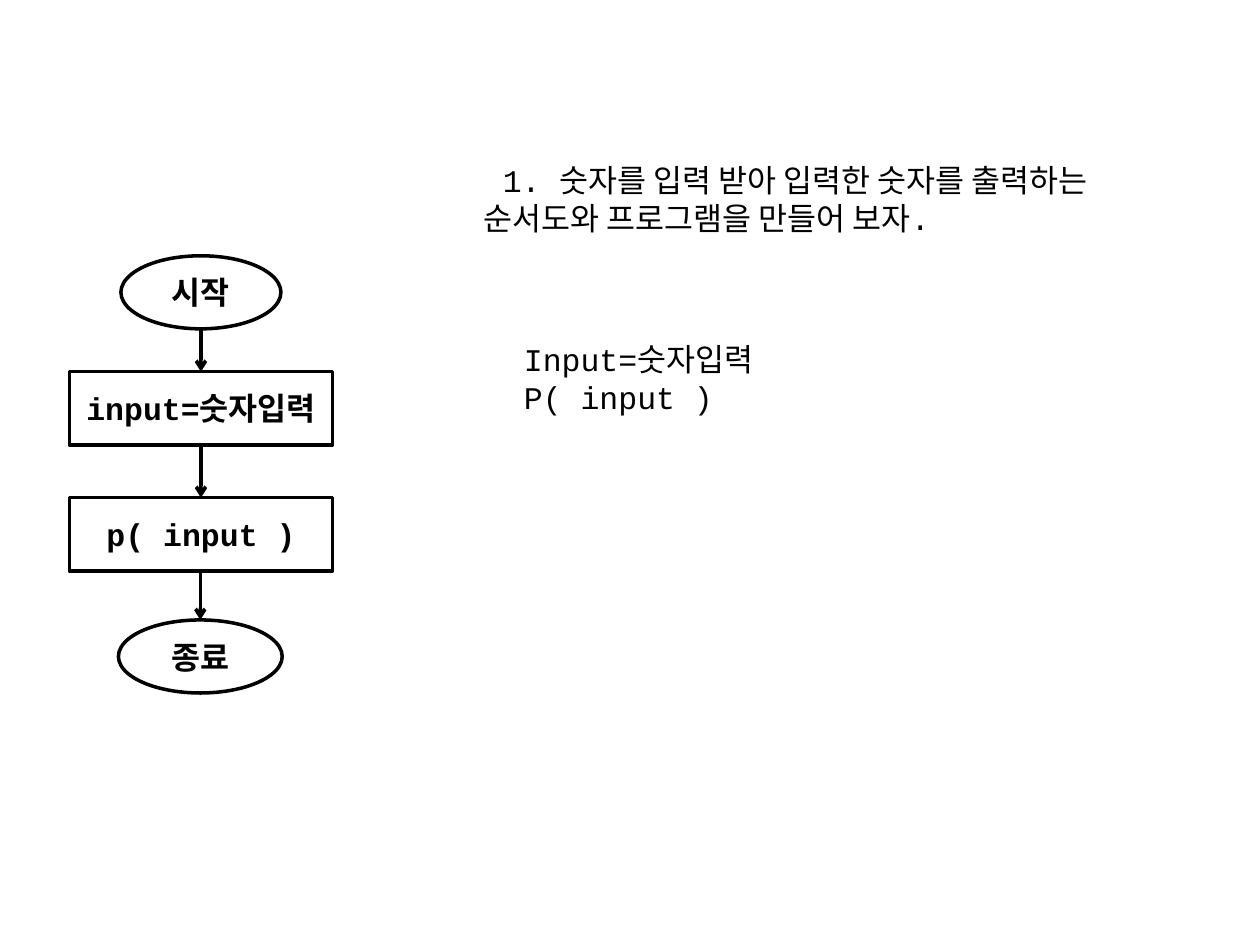
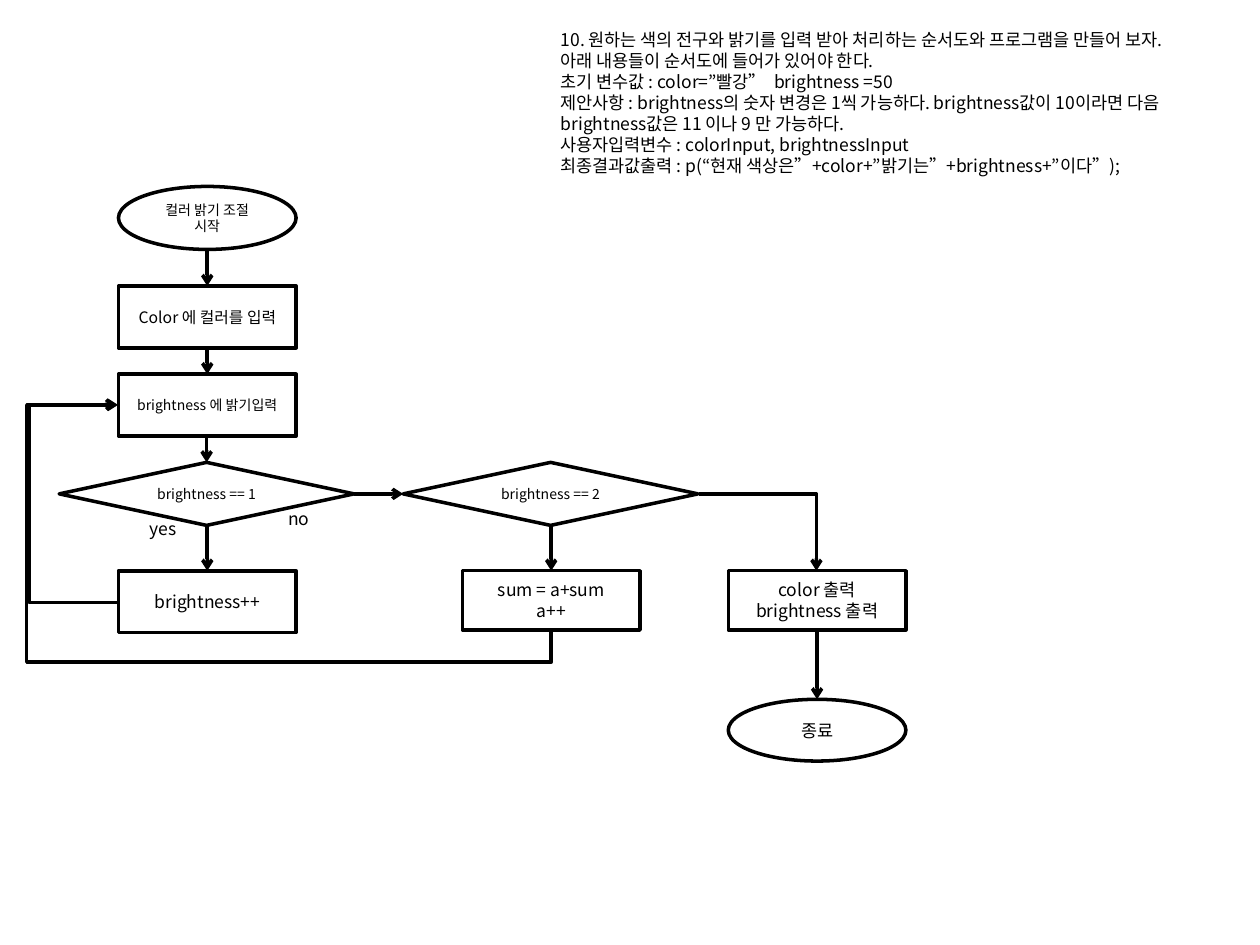
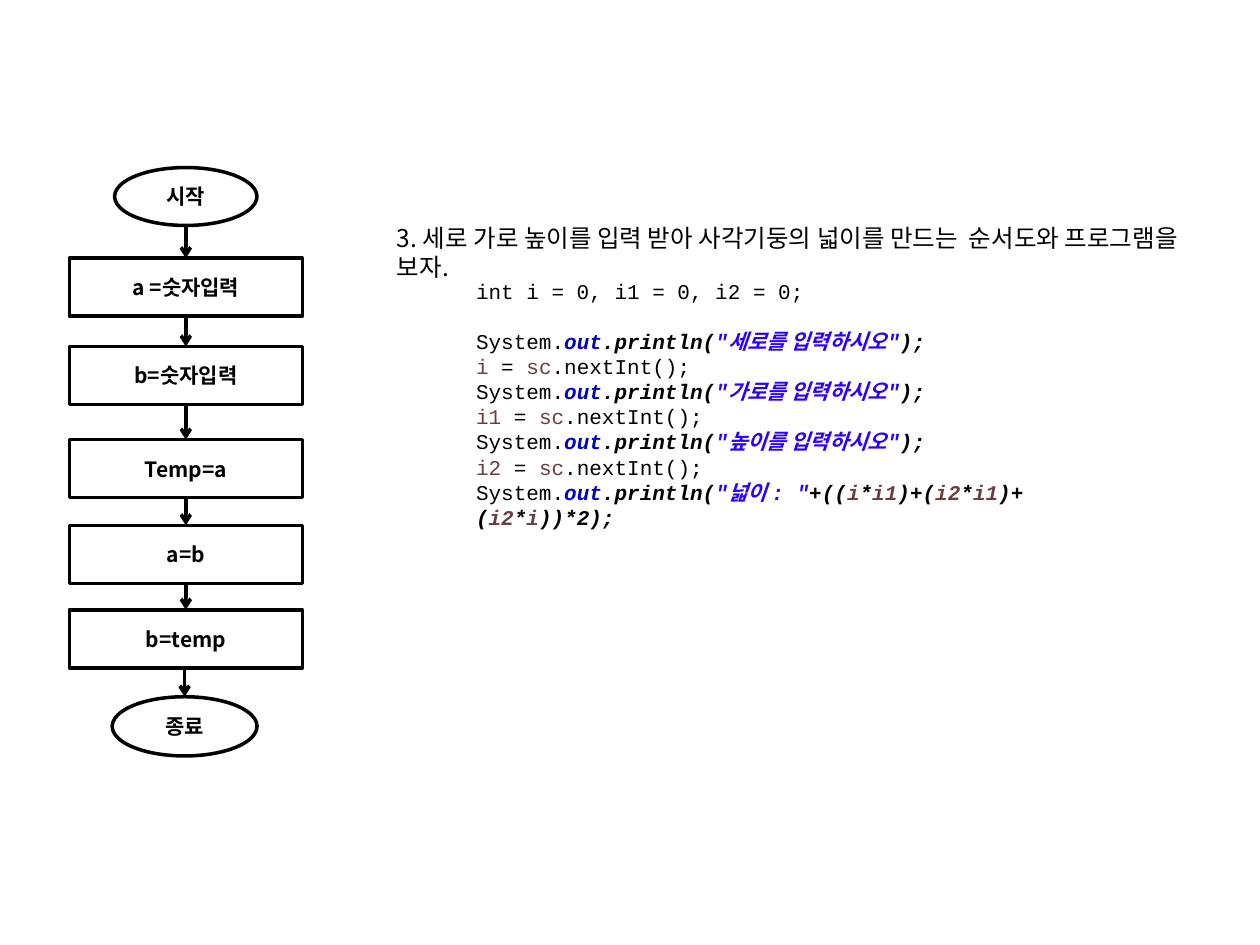
from dataclasses import dataclass
from lxml import etree
from pptx import Presentation
from pptx import util as u
from pptx.dml.color import RGBColor
from pptx.enum import shapes as es, text as et
from pptx.oxml.ns import qn


@dataclass(frozen=True)
class Theme:
    ink: str = "000000"
    field: str = "0000C0"
    quote: str = "2A00FF"
    name: str = "6A3E3E"
    mono: str = "Courier New"
    sans: str = "Noto Sans CJK KR"
    line: float = 2
    big: int = 18
    mid: int = 14
    code: int = 12
    note: int = 10
    small: int = 9
    tiny: int = 8


T = Theme()
OVAL = es.MSO_SHAPE.OVAL
STEP = es.MSO_SHAPE.FLOWCHART_PROCESS
TEST = es.MSO_SHAPE.FLOWCHART_DECISION

ECHO_TASK = ["\u00a01. 숫자를 입력 받아 입력한 숫자를 출력하는 순서도와 프로그램을 만들어 보자.".replace("\u00a0", " ")]
ECHO_CODE = ["Input=숫자입력", "P( input )"]
ECHO_FLOW = {
    "start": (OVAL, 0.96, 2.03, 1.27, 0.58, "시작"),
    "input": (STEP, 0.55, 2.95, 2.09, 0.58, "input=숫자입력"),
    "print": (STEP, 0.55, 3.95, 2.09, 0.58, "p( input )"),
    "end": (OVAL, 0.94, 4.92, 1.3, 0.58, "종료"),
}

LAMP_TASK = [
    "10. 원하는 색의 전구와 밝기를 입력 받아 처리하는 순서도와 프로그램을 만들어 보자. 아래 내용들이 순서도에 들어가 있어야 한다.",
    "초기 변수값 : color=”빨강”  brightness =50",
    "제안사항 : brightness의 숫자 변경은 1씩 가능하다. brightness값이 10이라면 다음 brightness값은 11 이나 9 만 가능하다.",
    "사용자입력변수 : colorInput, brightnessInput",
    "최종결과값출력 : p(“현재 색상은”+color+”밝기는”+brightness+”이다”);",
]
LAMP_FLOW = {
    "start": (OVAL, 0.94, 1.48, 1.41, 0.5, "컬러 밝기 조절 시작", T.tiny),
    "color": (STEP, 0.94, 2.27, 1.41, 0.49, "Color 에 컬러를 입력", T.small),
    "level": (STEP, 0.94, 2.97, 1.41, 0.49, "brightness 에 밝기입력", T.tiny),
    "one": (TEST, 0.47, 3.67, 2.34, 0.5, "brightness == 1", T.tiny),
    "two": (TEST, 3.2, 3.67, 2.34, 0.5, "brightness == 2", T.tiny),
    "raise": (STEP, 0.94, 4.53, 1.41, 0.49, "brightness++"),
    "sum": (STEP, 3.67, 4.53, 1.41, 0.47, "sum = a+sum\na++"),
    "show": (STEP, 5.78, 4.53, 1.41, 0.47, "color 출력\nbrightness 출력"),
    "end": (OVAL, 5.78, 5.55, 1.41, 0.49, "종료"),
}
LAMP_LINKS = [("start", "color"), ("color", "level"), ("level", "one"),
              ("one", "raise"), ("two", "sum"), ("show", "end")]
LAMP_TAGS = [("no", 2.19, 3.98), ("yes", 1.09, 4.06)]
TOP, LEFT, DOWN, RIGHT = range(4)
LAMP_BENDS = [
    ("two", RIGHT, "show", TOP, "bentConnector2", (5.55, 3.92, 0.93, 0.61), 0, False, []),
    ("raise", LEFT, "level", LEFT, "bentConnector3", (0.93, 3.21, 0.01, 1.57), 180, False, [72]),
    ("sum", DOWN, "level", LEFT, "bentConnector4", (1.76, 2.39, 1.79, 3.44), 90, True, [-0.14, 1.21]),
]

AREA_TASK = ["3. 세로 가로 높이를 입력 받아 사각기둥의 넓이를 만드는  순서도와 프로그램을 보자."]
AREA_FLOW = {
    "start": (OVAL, 0.91, 1.33, 1.13, 0.46, "시작"),
    "a": (STEP, 0.55, 2.05, 1.85, 0.46, "a =숫자입력"),
    "b": (STEP, 0.55, 2.75, 1.85, 0.46, "b=숫자입력"),
    "temp": (STEP, 0.55, 3.49, 1.85, 0.46, "Temp=a"),
    "swap": (STEP, 0.55, 4.17, 1.85, 0.46, "a=b"),
    "back": (STEP, 0.55, 4.84, 1.85, 0.46, "b=temp"),
    "end": (OVAL, 0.89, 5.53, 1.15, 0.47, "종료"),
}
AREA_ASKS = [("세로", "i"), ("가로", "i1"), ("높이", "i2")]
AREA_SUM = ["+((", "i", "*", "i1", ")+(", "i2", "*", "i1", ")+(", "i2", "*", "i", "))*2);"]


def say(quote, tail):
    head = [("System.", T.ink, False), ("out", T.field, True),
            (".println(", T.ink, True), (f'"{quote}"', T.quote, True)]
    return head + [(t, T.name if t[0] == "i" else T.ink, True) for t in tail]


def area_code():
    rows = ["int i = 0, i1 = 0, i2 = 0;"]
    for what, var in AREA_ASKS:
        rows.append(say(f"{what}를 입력하시오", [");"]))
        rows.append([(var, T.name, False), (" = ", T.ink, False),
                     ("sc", T.name, False), (".nextInt();", T.ink, False)])
    return rows + [say("넓이 : ", AREA_SUM)]


def write(shape, rows, size=T.note, font=T.sans, bold=False,
          align=et.PP_ALIGN.LEFT, anchor=et.MSO_ANCHOR.TOP):
    frame = shape.text_frame
    frame.word_wrap = True
    frame.auto_size = et.MSO_AUTO_SIZE.NONE
    frame.vertical_anchor = anchor
    for i, row in enumerate(rows):
        para = frame.add_paragraph() if i else frame.paragraphs[0]
        para.alignment = align
        for words, color, strong in [(row, T.ink, False)] if isinstance(row, str) else row:
            run = para.add_run()
            run.text = words
            run.font.size = u.Pt(size)
            run.font.bold = bold or strong
            run.font.italic = strong
            run.font.color.rgb = RGBColor.from_string(color)
            run.font.name = font
            etree.SubElement(run.font._element, qn("a:ea"), typeface=T.sans)
    return frame


def place(shape, box):
    shape.left, shape.top, shape.width, shape.height = map(u.Inches, box)


def task(deck, rows, box, **fmt):
    slide = deck.slides.add_slide(deck.slide_layouts[5])
    place(slide.shapes.title, box)
    write(slide.shapes.title, rows, **fmt)
    return slide


def label(slide, rows, box, **fmt):
    return write(slide.shapes.add_textbox(*map(u.Inches, box)), rows, **fmt)


def stroke(line):
    line.color.rgb = RGBColor.from_string(T.ink)
    line.width = u.Pt(T.line)


def link(slide, kind, *ends):
    wire = slide.shapes.add_connector(kind, *ends)
    stroke(wire.line)
    etree.SubElement(wire.line._get_or_add_ln(), qn("a:tailEnd"), type="arrow")
    etree.SubElement(wire._element.spPr, qn("a:effectLst"))
    return wire


def fall(slide, top, low):
    x = low.left + low.width // 2
    link(slide, es.MSO_CONNECTOR.STRAIGHT, x, top.top + top.height, x, low.top)


def bend(slide, nodes, first, out, last, into, form, box, turn, flip, pulls):
    wire = link(slide, es.MSO_CONNECTOR.ELBOW, 0, 0, 0, 0)
    wire.begin_connect(nodes[first], out)
    wire.end_connect(nodes[last], into)
    place(wire, box)
    frame = wire._element.spPr.find(qn("a:xfrm"))
    frame.set("rot", str(turn * 60000))
    frame.set("flipH", str(int(flip)))
    frame.set("flipV", "0")
    geom = wire._element.spPr.find(qn("a:prstGeom"))
    geom.set("prst", form)
    guides = geom.find(qn("a:avLst"))
    for i, pull in enumerate(pulls, 1):
        etree.SubElement(guides, qn("a:gd"), name=f"adj{i}", fmla=f"val {round(pull * 100000)}")


def flow(slide, parts, links=None, size=T.note, **fmt):
    nodes = {}
    for key, (kind, x, y, w, h, words, *own) in parts.items():
        node = slide.shapes.add_shape(kind, *map(u.Inches, (x, y, w, h)))
        node.shadow.inherit = False
        node.fill.background()
        stroke(node.line)
        write(node, words.split("\n"), size=own[0] if own else size,
              align=et.PP_ALIGN.CENTER, anchor=et.MSO_ANCHOR.MIDDLE, **fmt)
        nodes[key] = node
    keys = list(parts)
    for top, low in links or zip(keys, keys[1:]):
        fall(slide, nodes[top], nodes[low])
    return nodes


def echo(deck):
    look = dict(size=T.big, font=T.mono)
    slide = task(deck, ECHO_TASK, (3.74, 1.23, 5.31, 0.71), **look)
    flow(slide, ECHO_FLOW, bold=True, **look)
    label(slide, ECHO_CODE, (4.06, 2.65, 5, 0.71), **look)


def lamp(deck):
    slide = task(deck, LAMP_TASK, (4.35, 0.18, 5, 1.28))
    nodes = flow(slide, LAMP_FLOW, LAMP_LINKS)
    one, two = nodes["one"], nodes["two"]
    mid = one.top + one.height // 2
    link(slide, es.MSO_CONNECTOR.STRAIGHT, one.left + one.width, mid, two.left, mid)
    for row in LAMP_BENDS:
        bend(slide, nodes, *row)
    for words, x, y in LAMP_TAGS:
        label(slide, [words], (x, y, 0.7, 0.27))


def area(deck):
    slide = task(deck, AREA_TASK, (3.05, 1.72, 6.48, 0.57), size=T.mid)
    flow(slide, AREA_FLOW, size=T.code, bold=True)
    frame = label(slide, area_code(), (3.68, 2.16, 5, 2.12), size=T.code, font=T.mono)
    frame.paragraphs[1].space_before = u.Pt(14)


def main():
    deck = Presentation()
    deck.slide_width, deck.slide_height = u.Inches(10), u.Inches(7.5)
    for build in (echo, lamp, area):
        build(deck)
    deck.save("out.pptx")


if __name__ == "__main__":
    main()
